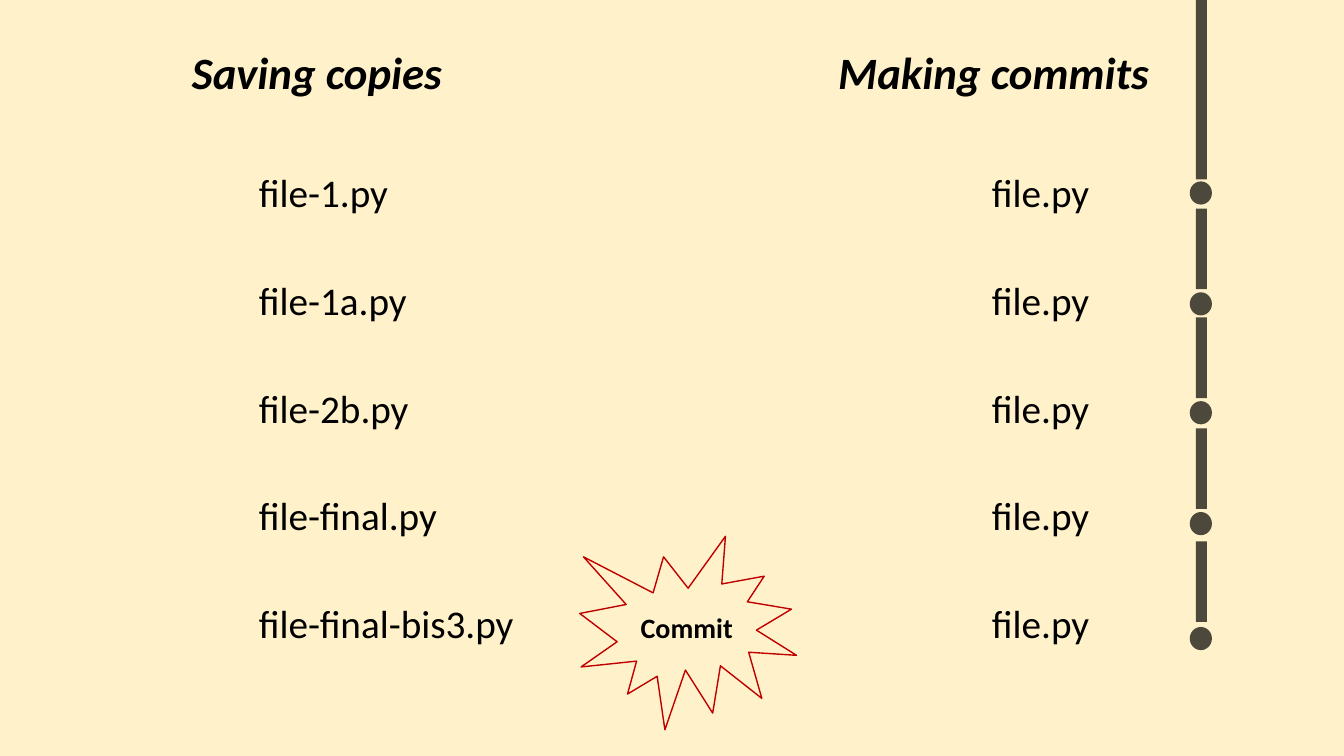
import dataclasses

import lxml.etree
import pptx
import pptx.dml.color
import pptx.enum.shapes
import pptx.enum.text
import pptx.oxml.ns
import pptx.util

Inches = pptx.util.Inches
Shapes = pptx.enum.shapes.MSO_SHAPE
Align = pptx.enum.text.PP_ALIGN

COLOURS = {"background": "FFE699", "ink": "000000", "burst": "C00000"}
FONT = "Calibri"

FIRST_ROW, ROW_STEP = 1.62, 1.07
DOT_TOPS = [1.8, 2.9, 3.98, 5.08, 6.22]
DOT_SIZE = (0.22, 0.23)
BAR_WIDTH = 0.11


@dataclasses.dataclass
class Column:
    heading: str
    heading_left: float
    files_left: float
    files: list[str]


@dataclasses.dataclass
class Bar:
    top: float
    height: float


COLUMNS = [
    Column("Saving copies", 0.68, 2.47,
           ["file-1.py", "file-1a.py", "file-2b.py", "file-final.py", "file-final-bis3.py"]),
    Column("Making commits", 7.39, 9.74, ["file.py"] * 5),
]
BARS = [Bar(0, 1.78)] + [Bar(top, 0.8) for top in (2.07, 3.15, 4.25, 5.37)]


def rgb(name: str) -> pptx.dml.color.RGBColor:
    return pptx.dml.color.RGBColor.from_string(COLOURS[name])


def set_solid_fill(fill, colour: str, opacity: int) -> None:
    """Fill with a colour at the given opacity in percent."""
    fill.solid()
    fill.fore_color.rgb = rgb(colour)
    # The public fill interface has no opacity, so it is added to the colour element
    colour_element = fill.fore_color._color._xClr
    alpha = lxml.etree.SubElement(colour_element, pptx.oxml.ns.qn("a:alpha"))
    alpha.set("val", str(opacity * 1000))


def write_text(shape, text: str, *, size: int, bold: bool = False, italic: bool = False,
               align=Align.LEFT) -> None:
    shape.text_frame.word_wrap = True
    paragraph = shape.text_frame.paragraphs[0]
    paragraph.alignment = align
    run = paragraph.add_run()
    run.text = text
    run.font.name = FONT
    run.font.size = pptx.util.Pt(size)
    run.font.bold = bold
    run.font.italic = italic
    run.font.color.rgb = rgb("ink")


def add_label(slide, text: str, left: float, top: float, width: float, height: float,
              **text_format) -> None:
    label = slide.shapes.add_textbox(Inches(left), Inches(top), Inches(width), Inches(height))
    write_text(label, text, **text_format)
    label.text_frame.auto_size = pptx.enum.text.MSO_AUTO_SIZE.SHAPE_TO_FIT_TEXT


def add_column(slide, column: Column) -> None:
    add_label(slide, column.heading, column.heading_left, 0.39, 4.93, 0.64,
              size=32, bold=True, italic=True, align=Align.CENTER)
    for row, file_name in enumerate(column.files):
        add_label(slide, file_name, column.files_left, FIRST_ROW + row * ROW_STEP,
                  2.97, 0.57, size=28)


def add_timeline_part(slide, kind, left: float, top: float, width: float, height: float) -> None:
    part = slide.shapes.add_shape(kind, Inches(left), Inches(top), Inches(width), Inches(height))
    part.shadow.inherit = False
    part.line.fill.background()
    set_solid_fill(part.fill, "ink", 70)


def add_timeline(slide) -> None:
    for bar in BARS:
        add_timeline_part(slide, Shapes.RECTANGLE, 11.86, bar.top, BAR_WIDTH, bar.height)
    for top in DOT_TOPS:
        add_timeline_part(slide, Shapes.OVAL, 11.8, top, *DOT_SIZE)


def add_commit_burst(slide) -> None:
    burst = slide.shapes.add_shape(Shapes.EXPLOSION1, Inches(5.75), Inches(5.32),
                                   Inches(2.15), Inches(1.92))
    burst.shadow.inherit = False
    burst.fill.background()
    burst.line.color.rgb = rgb("burst")
    burst.line.width = pptx.util.Pt(1)
    burst.text_frame.vertical_anchor = pptx.enum.text.MSO_ANCHOR.MIDDLE
    write_text(burst, "Commit", size=20, bold=True, align=Align.CENTER)


def main() -> None:
    presentation = pptx.Presentation()
    presentation.slide_width = Inches(13.33)
    presentation.slide_height = Inches(7.5)
    blank_layout = presentation.slide_layouts[6]
    slide = presentation.slides.add_slide(blank_layout)
    set_solid_fill(slide.background.fill, "background", 50)

    # Two ways of keeping versions, side by side
    for column in COLUMNS:
        add_column(slide, column)

    # Commit history along the right edge
    add_timeline(slide)

    # Callout between the columns
    add_commit_burst(slide)

    presentation.save("out.pptx")


if __name__ == "__main__":
    main()
